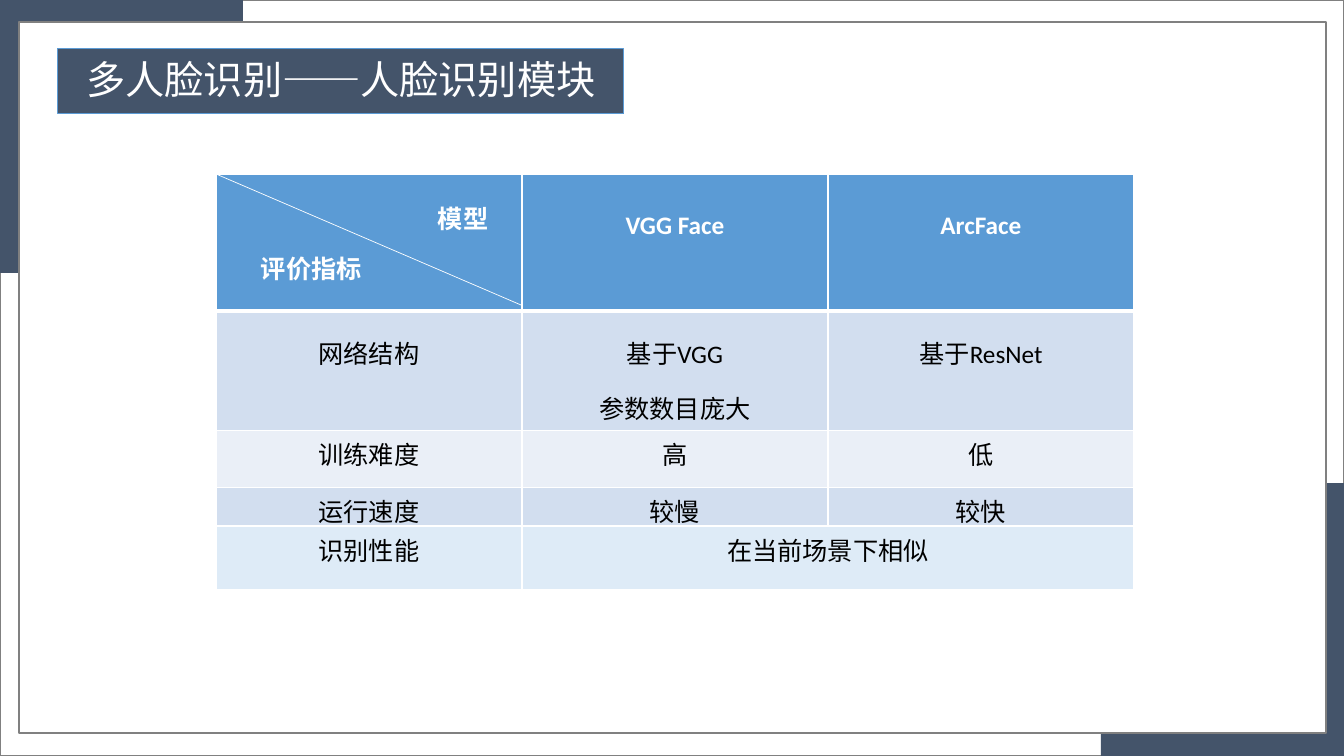
from lxml import etree
from pptx import Presentation
from pptx.dml.color import RGBColor
from pptx.enum.shapes import MSO_CONNECTOR, MSO_SHAPE
from pptx.enum.text import MSO_ANCHOR, PP_ALIGN
from pptx.oxml.ns import qn
from pptx.util import Emu, Pt

EMU_PER_PX = 914400 / 100.8
SLIDE_WIDTH, SLIDE_HEIGHT = 1344, 756
RECTANGLE = MSO_SHAPE.RECTANGLE
STRAIGHT = MSO_CONNECTOR.STRAIGHT
CENTER, LEFT = PP_ALIGN.CENTER, PP_ALIGN.LEFT
TOP, MIDDLE = MSO_ANCHOR.TOP, MSO_ANCHOR.MIDDLE

COLORS = {
    "white": "FFFFFF", "black": "000000", "frame": "808080",
    "slate": "44546A", "header": "5B9BD5", "band": "D2DEEF",
    "light_band": "EAEFF7", "summary": "DEEBF7",
}
LATIN_FONT, CJK_FONT = "Calibri", "Noto Sans CJK SC"
HEADER_TEXT = {"size": Pt(18), "name": LATIN_FONT, "bold": True}
BODY_TEXT = {"size": Pt(18), "name": LATIN_FONT, "bold": False}
TITLE_TEXT = {"size": Pt(28), "name": CJK_FONT}


def px(length):
    return Emu(round(length * EMU_PER_PX))


def color(name):
    return RGBColor.from_string(COLORS[name])


def write_text(frame, lines, text_format, color_name, alignment=CENTER, spacing=1.0):
    for index, line in enumerate(lines):
        paragraph = frame.paragraphs[0] if index == 0 else frame.add_paragraph()
        paragraph.alignment = alignment
        paragraph.line_spacing = spacing
        run = paragraph.add_run()
        run.text = line
        for attribute, value in text_format.items():
            setattr(run.font, attribute, value)
        run.font.color.rgb = color(color_name)
        east_asian = etree.SubElement(run.font._element, qn("a:ea"))
        east_asian.set("typeface", CJK_FONT)


def add_rectangle(slide, box, fill=None, line=None, line_width=1):
    shape = slide.shapes.add_shape(RECTANGLE, *map(px, box))
    shape.shadow.inherit = False
    if fill:
        shape.fill.solid()
        shape.fill.fore_color.rgb = color(fill)
    else:
        shape.fill.background()
    if line:
        shape.line.color.rgb = color(line)
        shape.line.width = Pt(line_width)
    else:
        shape.line.fill.background()
    return shape


def set_borders(cell, bottom_width):
    properties = cell._tc.get_or_add_tcPr()
    widths = {"lnL": 1, "lnR": 1, "lnT": 1, "lnB": bottom_width}
    for position, (side, width) in enumerate(widths.items()):
        border = etree.Element(qn(f"a:{side}"), w=str(Pt(width)))
        fill = etree.SubElement(border, qn("a:solidFill"))
        etree.SubElement(fill, qn("a:srgbClr"), val=COLORS["white"])
        properties.insert(position, border)


def add_grid(slide, left, top, column_widths, row_heights):
    frame = slide.shapes.add_table(
        len(row_heights), len(column_widths), px(left), px(top),
        px(sum(column_widths)), px(sum(row_heights)))
    table = frame.table
    table.first_row = table.horz_banding = False
    for column, width in zip(table.columns, column_widths):
        column.width = px(width)
    for row, height in zip(table.rows, row_heights):
        row.height = px(height)
    return table


def fill_cell(cell, lines, fill, text_format=BODY_TEXT, text_color="black",
              spacing=1.0, bottom_width=1):
    cell.fill.solid()
    cell.fill.fore_color.rgb = color(fill)
    cell.vertical_anchor = TOP
    set_borders(cell, bottom_width)
    write_text(cell.text_frame, lines, text_format, text_color, spacing=spacing)


def add_background(slide, box):
    left, top, width, height = box
    corner_width, corner_height = 243, 273
    add_rectangle(slide, box, line="frame")
    # Slate corners: bottom right, then top left
    add_rectangle(slide, (left + width - corner_width, top + height - corner_height,
                          corner_width, corner_height), "slate")
    add_rectangle(slide, (left, top, corner_width, corner_height), "slate")
    # White panel
    add_rectangle(slide, (left + 19, top + 22, width - 37, height - 45), "white", "frame")


def add_title(slide, box):
    banner = add_rectangle(slide, box, "slate", "header", 0.75)
    banner.text_frame.word_wrap = True
    banner.text_frame.vertical_anchor = MIDDLE
    write_text(banner.text_frame, ["多人脸识别——人脸识别模块"], TITLE_TEXT, "white",
               spacing=0.9)


def add_corner_labels(slide, box):
    left, top, width, height = box
    # Diagonal of the header corner
    diagonal = slide.shapes.add_connector(
        STRAIGHT, px(left), px(top), px(left + width), px(top + height))
    diagonal.line.color.rgb = color("white")
    diagonal.line.width = Pt(0.5)
    etree.SubElement(diagonal._element.spPr, qn("a:effectLst"))
    # Axis names on either side of it
    for text, offset_x, offset_y, label_width in (("模型", 212, 24, 73),
                                                  ("评价指标", 35, 74, 126)):
        label = slide.shapes.add_textbox(
            px(left + offset_x), px(top + offset_y), px(label_width), px(40))
        label.text_frame.word_wrap = True
        write_text(label.text_frame, [text], HEADER_TEXT, "white", LEFT)


def add_comparison(slide, box):
    left, top, width, height = box
    column = width // 3
    header_height, summary_height = 137, 65

    # Header row
    table = add_grid(slide, left, top, [column] * 3, [header_height, 118, 57, 62])
    for index, name in enumerate(([], ["VGG Face"], ["ArcFace"])):
        cell = table.cell(0, index)
        fill_cell(cell, name, "header", HEADER_TEXT, "white", bottom_width=3)
        cell.margin_top = px(36)

    # Criteria rows
    criteria = [
        ("band", 1.5, [["网络结构"], ["基于VGG", "参数数目庞大"], ["基于ResNet"]]),
        ("light_band", 1.0, [["训练难度"], ["高"], ["低"]]),
        ("band", 1.0, [["运行速度"], ["较慢"], ["较快"]]),
    ]
    for row, (fill, spacing, entries) in enumerate(criteria, start=1):
        for index, lines in enumerate(entries):
            fill_cell(table.cell(row, index), lines, fill, spacing=spacing)

    add_corner_labels(slide, (left, top, column - 1, header_height - 6))

    # Summary row, laid over the foot of the main table
    summary = add_grid(slide, left, top + height - summary_height,
                       [column, 2 * column], [summary_height])
    for index, text in enumerate(("识别性能", "在当前场景下相似")):
        fill_cell(summary.cell(0, index), [text], "summary", bottom_width=3)


def main():
    presentation = Presentation()
    presentation.slide_width = px(SLIDE_WIDTH)
    presentation.slide_height = px(SLIDE_HEIGHT)
    slide = presentation.slides.add_slide(presentation.slide_layouts[6])
    add_background(slide, (0, 0, SLIDE_WIDTH, SLIDE_HEIGHT))
    add_title(slide, (58, 49, 566, 65))
    add_comparison(slide, (216, 174, 918, 417))
    presentation.save("out.pptx")


if __name__ == "__main__":
    main()
